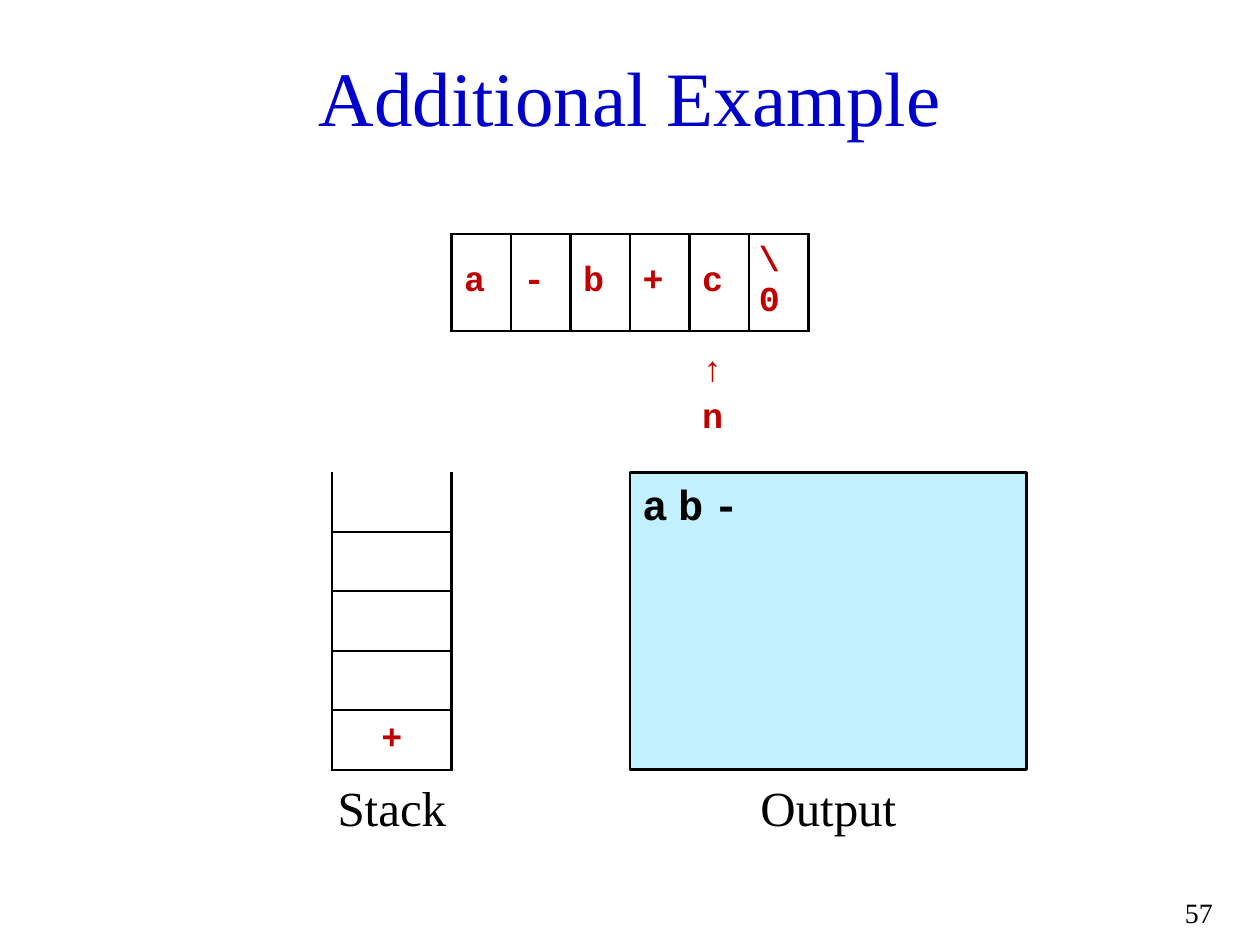
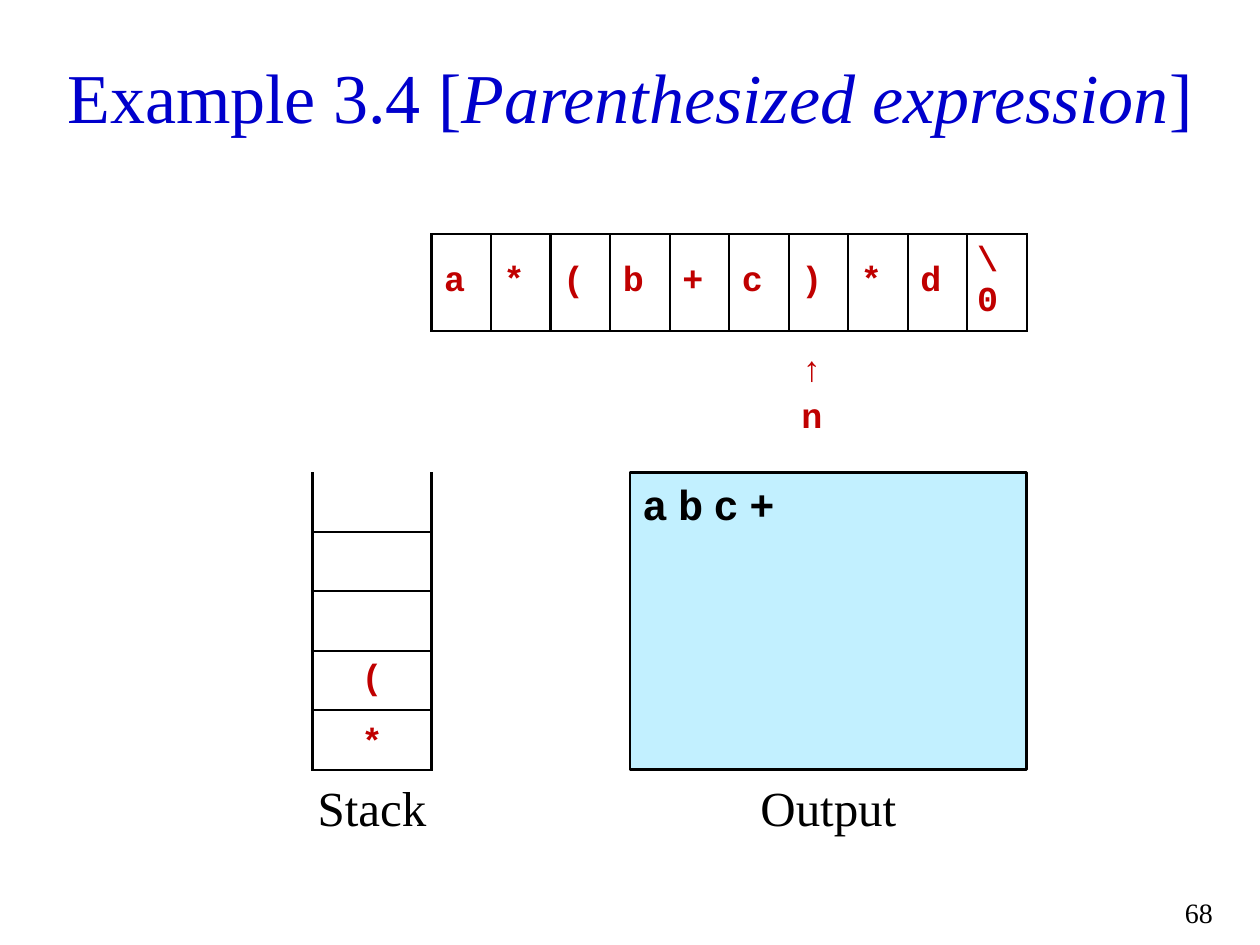
from lxml.etree import SubElement
from pptx import Presentation
from pptx.dml.color import RGBColor
from pptx.enum.shapes import MSO_SHAPE
from pptx.enum.text import MSO_ANCHOR, MSO_AUTO_SIZE, PP_ALIGN
from pptx.oxml.ns import qn
from pptx.util import Emu, Inches, Pt

# Content: each step of the infix to postfix conversion
STEPS = [
    {
        "title": [("Additional Example", False)], "title_size": 44, "title_width": 1160,
        "tokens": ["a", "-", "b", "+", "c", "\\0"], "next": 4, "tokens_left": 455,
        "stack": ["", "", "", "", "+"], "top_anchor": MSO_ANCHOR.MIDDLE,
        "output": "ab-", "page": "57",
    },
    {
        "title": [("Example 3.4 [", False), ("Parenthesized expression", True), ("]", False)],
        "title_size": 40, "title_width": 1200,
        "tokens": ["a", "*", "(", "b", "+", "c", ")", "*", "d", "\\0"],
        "next": 6, "tokens_left": 435,
        "stack": ["", "", "", "(", "*"], "top_anchor": MSO_ANCHOR.BOTTOM,
        "output": "abc+", "page": "68",
    },
]

# Shared colours and text formats
TITLE_BLUE = RGBColor(0x00, 0x00, 0xCC)
TOKEN_RED = RGBColor(0xC0, 0x00, 0x00)
BLACK = RGBColor(0x00, 0x00, 0x00)
OUTPUT_FILL = RGBColor(0xC2, 0xF0, 0xFF)
SERIF, MONO = "Times New Roman", "Courier New"
TOKEN = {"name": MONO, "size": Pt(20), "bold": True}
OUTPUT = {"name": MONO, "size": Pt(24), "bold": True}
CAPTION = {"name": SERIF, "size": Pt(28)}
PAGE = {"name": SERIF, "size": Pt(16)}
LINE = Pt(1.5)
LETTER_GAP = 600  # hundredths of a point

# Shared geometry in px, 127 px to the inch
SCALE = 7200
CENTER = 635
CELL = 60
TOKENS_TOP = 236
STACK_TOP = 476
STACK_WIDTH = 2 * CELL
OUTPUT_LEFT, OUTPUT_WIDTH, OUTPUT_HEIGHT = 635, 400, 300
CAPTION_TOP = 777
SIDES = {"l": "a:lnL", "r": "a:lnR", "t": "a:lnT", "b": "a:lnB"}


def px(*lengths):
    return [Emu(length * SCALE) for length in lengths]


def write(paragraph, words, style, color, **extra):
    run = paragraph.add_run()
    run.text = words
    for key, value in {**style, **extra}.items():
        setattr(run.font, key, value)
    run.font.color.rgb = color
    return run


def add_label(slide, words, box, style, align):
    frame = slide.shapes.add_textbox(*px(*box)).text_frame
    frame.word_wrap = True
    frame.paragraphs[0].alignment = align
    write(frame.paragraphs[0], words, style, BLACK)


def add_caption(slide, words, center, width):
    box = (center - width // 2, CAPTION_TOP, width, 80)
    add_label(slide, words, box, CAPTION, PP_ALIGN.CENTER)


def set_borders(cell, drawn):
    properties = cell._tc.get_or_add_tcPr()
    for side, tag in SIDES.items():
        border = SubElement(properties, qn(tag), w=str(LINE))
        if side in drawn:
            fill = SubElement(border, qn("a:solidFill"))
            SubElement(fill, qn("a:srgbClr"), val=str(BLACK))
        else:
            SubElement(border, qn("a:noFill"))
    cell.fill.background()


def add_grid(slide, rows, columns, left, top, width, borders):
    """Add a table; borders(row) names the sides drawn for that row."""
    frame = slide.shapes.add_table(rows, columns, *px(left, top, width * columns, CELL * rows))
    grid = frame.table
    grid.first_row = grid.horz_banding = False
    for column in grid.columns:
        column.width = px(width)[0]
    for index, row in enumerate(grid.rows):
        row.height = px(CELL)[0]
        for cell in row.cells:
            set_borders(cell, borders(index))
    return grid


def fill_cell(cell, words, anchor=MSO_ANCHOR.MIDDLE, align=PP_ALIGN.LEFT):
    cell.vertical_anchor = anchor
    paragraph = cell.text_frame.paragraphs[0]
    paragraph.alignment = align
    write(paragraph, words, TOKEN, TOKEN_RED)


def add_title(slide, step):
    title = slide.shapes.title
    width = step["title_width"]
    title.left, title.top, title.width, title.height = px(CENTER - width // 2, 36, width, 120)
    frame = title.text_frame
    frame.word_wrap = True
    frame.auto_size = MSO_AUTO_SIZE.NONE
    frame.vertical_anchor = MSO_ANCHOR.MIDDLE
    frame.paragraphs[0].alignment = PP_ALIGN.CENTER
    style = {"name": SERIF, "size": Pt(step["title_size"])}
    for words, italic in step["title"]:
        write(frame.paragraphs[0], words, style, TITLE_BLUE, italic=italic)


def add_tokens(slide, step):
    tokens = step["tokens"]
    row_borders = ("lrtb", "t", "")
    grid = add_grid(slide, 3, len(tokens), step["tokens_left"], TOKENS_TOP, CELL,
                    lambda row: row_borders[row])
    for column, token in enumerate(tokens):
        fill_cell(grid.cell(0, column), token)
    end = grid.cell(0, len(tokens) - 1)
    end.margin_left = end.margin_right = px(10)[0]
    # Pointer to the next token
    arrow = grid.cell(1, step["next"])
    fill_cell(arrow, "↑")
    arrow.margin_top, arrow.margin_bottom = px(20, 0)
    fill_cell(grid.cell(2, step["next"]), "n", MSO_ANCHOR.TOP)


def add_stack(slide, step):
    left = step["tokens_left"] - STACK_WIDTH
    grid = add_grid(slide, len(step["stack"]), 1, left, STACK_TOP, STACK_WIDTH,
                    lambda row: "lrtb" if row else "lrb")
    last = len(step["stack"]) - 1
    for row, operator in enumerate(step["stack"]):
        if operator:
            anchor = step["top_anchor"] if row == last else MSO_ANCHOR.MIDDLE
            fill_cell(grid.cell(row, 0), operator, anchor, PP_ALIGN.CENTER)
    add_caption(slide, "Stack", left + STACK_WIDTH // 2, 160)


def add_output(slide, step):
    panel = slide.shapes.add_shape(
        MSO_SHAPE.RECTANGLE, *px(OUTPUT_LEFT, STACK_TOP, OUTPUT_WIDTH, OUTPUT_HEIGHT))
    panel.shadow.inherit = False
    panel.fill.solid()
    panel.fill.fore_color.rgb = OUTPUT_FILL
    panel.line.color.rgb = BLACK
    panel.line.width = LINE
    frame = panel.text_frame
    frame.word_wrap = True
    frame.vertical_anchor = MSO_ANCHOR.TOP
    frame.paragraphs[0].alignment = PP_ALIGN.LEFT
    letters = write(frame.paragraphs[0], step["output"], OUTPUT, BLACK)
    letters._r.get_or_add_rPr().set("spc", str(LETTER_GAP))
    add_caption(slide, "Output", OUTPUT_LEFT + OUTPUT_WIDTH // 2, 200)


def main():
    deck = Presentation()
    deck.slide_width, deck.slide_height = Inches(10), Inches(7.5)
    title_only = deck.slide_layouts[5]
    for step in STEPS:
        slide = deck.slides.add_slide(title_only)
        add_title(slide, step)
        add_label(slide, step["page"], (1155, 896, 80, 40), PAGE, PP_ALIGN.RIGHT)
        add_tokens(slide, step)
        add_stack(slide, step)
        add_output(slide, step)
    deck.save("out.pptx")


if __name__ == "__main__":
    main()
